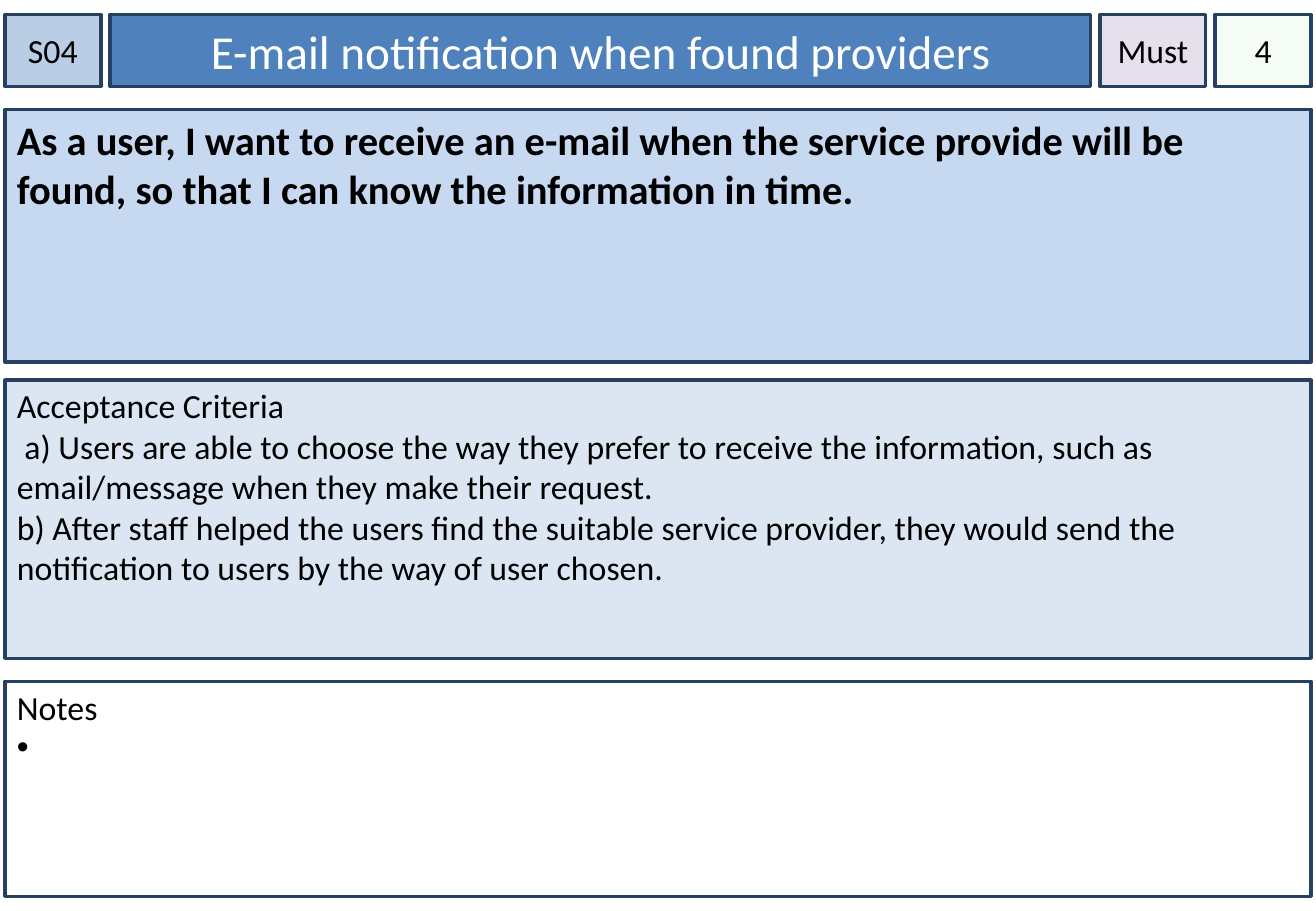
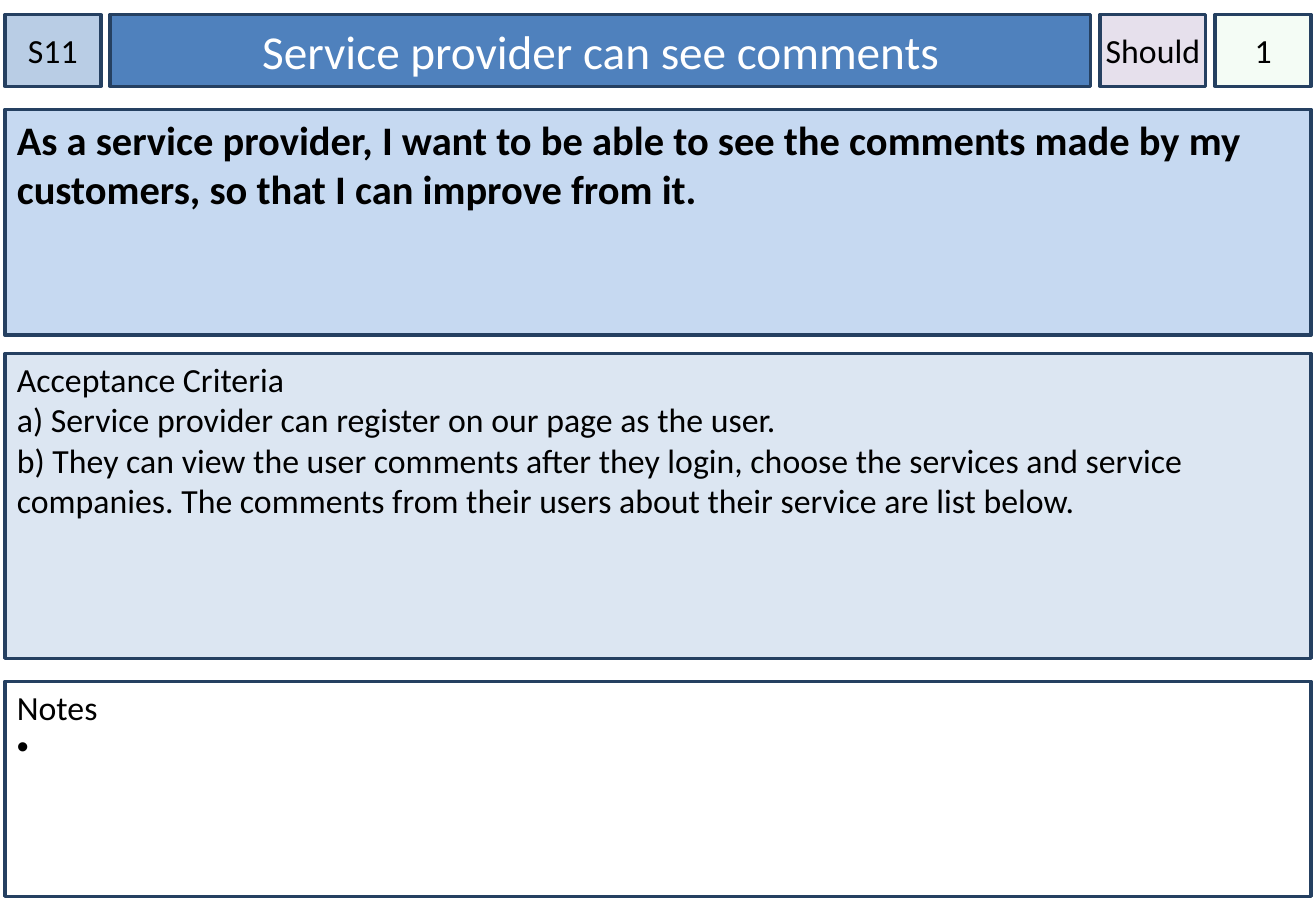
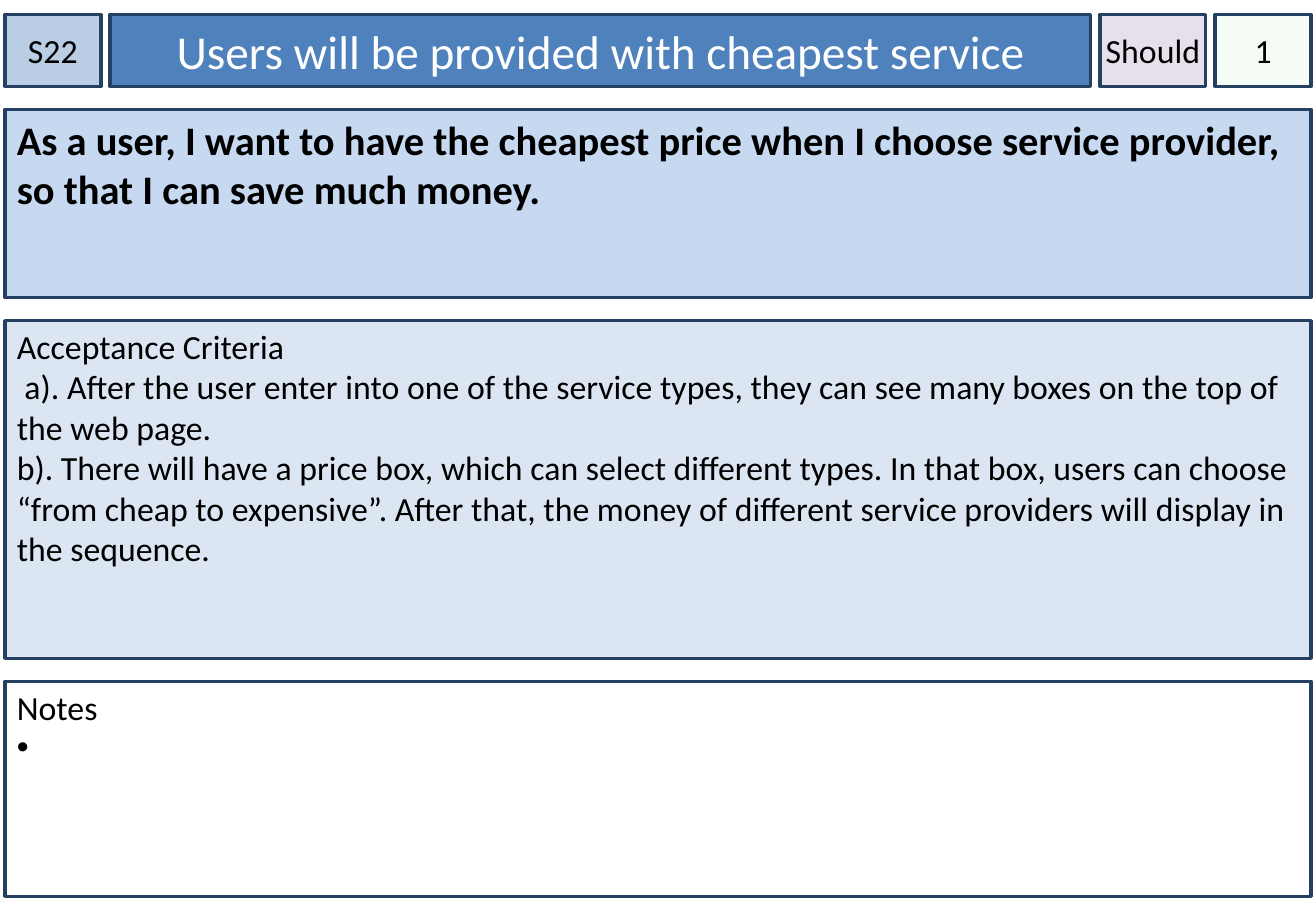
"""Build three user story cards, each with a header row and three stacked panels."""
from dataclasses import dataclass

from lxml.etree import SubElement as Sub
from pptx import Presentation
from pptx.dml.color import RGBColor as RGB
from pptx.enum.shapes import MSO_SHAPE as Kind
from pptx.enum.text import MSO_ANCHOR as Anchor, PP_ALIGN as Align
from pptx.oxml.ns import qn
from pptx.util import Inches, Pt

CARDS = [
    dict(
        code="S04", title="E-mail notification when found providers",
        rank="Must", points="4", tall=2.08, gap=0.15,
        story="As a user, I want to receive an e-mail when the service provide will be "
              "found, so that I can know the information in time.",
        tests=[
            " a) Users are able to choose the way they prefer to receive the information, "
            "such as email/message when they make their request.",
            "b) After staff helped the users find the suitable service provider, they would "
            "send the notification to users by the way of user chosen.",
        ]),
    dict(
        code="S11", title="Service provider can see comments",
        rank="Should", points="1", tall=1.86, gap=0.15,
        story="As a service provider, I want to be able to see the comments made by my "
              "customers, so that I can improve from it.",
        tests=[
            "a) Service provider can register on our page as the user.",
            "b) They can view the user comments after they login, choose the services and "
            "service companies. The comments from their users about their service are list "
            "below.",
        ]),
    dict(
        code="S22", title="Users will be provided with cheapest service",
        rank="Should", points="1", tall=1.55, gap=0.19,
        story="As a user, I want to have the cheapest price when I choose service provider, "
              "so that I can save much money.",
        tests=[
            " a). After the user enter into one of the service types, they can see many "
            "boxes on the top of the web page.",
            "b). There will have a price box, which can select different types. In that box, "
            "users can choose “from cheap to expensive”. After that, the money of different "
            "service providers will display in the sequence.",
        ]),
]


@dataclass(frozen=True)
class Theme:
    font: str = "Calibri"
    ink: str = "000000"
    pale: str = "FFFFFF"
    edge: str = "254061"
    code: str = "B9CDE5"
    title: str = "4F81BD"
    rank: str = "E6E0EC"
    points: str = "CCF0CD"
    story: str = "C6D9F1"
    tests: str = "DCE6F2"
    body: int = 20
    lead: int = 24
    head: int = 28
    line: int = 2


T = Theme()
WIDE, HIGH = 10.83, 7.5
LEFT, SPAN = 0.04, 10.75
TOP, ROW = 0.12, 0.59
COLS = dict(code=0.79, title=8.07, rank=0.87, points=0.79)
GAP = (SPAN - sum(COLS.values())) / (len(COLS) - 1)
STORY, NOTES, FOOT, SPACE = 0.9, 5.61, 7.38, 0.19
TAG = dict(mid=True, pad=(0, 0.05, 0, 0.05))
HEADS = dict(
    code=TAG,
    title=dict(mid=True, size=T.head, color=T.pale),
    rank=dict(TAG, wrap=False),
    points=dict(TAG, alpha=20),
)
PANEL = dict(pad=(0.1, 0.04, 0.1, 0.05))


def write(shape, lines, size=T.body, color=T.ink, bold=False, mid=False,
          pad=(0.1, 0.05, 0.1, 0.05), wrap=True, dots=()):
    frame = shape.text_frame
    frame.word_wrap = wrap
    frame.vertical_anchor = Anchor.MIDDLE if mid else Anchor.TOP
    for side, inset in zip(("left", "top", "right", "bottom"), pad):
        setattr(frame, f"margin_{side}", Inches(inset))
    for n, line in enumerate(lines):
        para = frame.add_paragraph() if n else frame.paragraphs[0]
        para.alignment = Align.CENTER if mid else Align.LEFT
        run = para.add_run()
        run.text = line
        font = run.font
        font.name, font.size, font.bold = T.font, Pt(size), bold
        font.color.rgb = RGB.from_string(color)
        if n in dots:
            props = para._p.get_or_add_pPr()
            props.set("marL", str(Inches(0.2)))
            props.set("indent", str(Inches(-0.2)))
            Sub(props, qn("a:buFont")).set("typeface", "Arial")
            Sub(props, qn("a:buChar")).set("char", "•")


def box(slide, x, y, w, h, fill, lines, alpha=100, **form):
    shape = slide.shapes.add_shape(Kind.RECTANGLE, *map(Inches, (x, y, w, h)))
    shape.shadow.inherit = False
    shape.fill.solid()
    shape.fill.fore_color.rgb = RGB.from_string(fill)
    if alpha < 100:
        tint = shape.fill._xPr.find(f".//{qn('a:srgbClr')}")
        Sub(tint, qn("a:alpha")).set("val", str(alpha * 1000))
    shape.line.color.rgb = RGB.from_string(T.edge)
    shape.line.width = Pt(T.line)
    write(shape, lines, **form)


def draw(slide, card):
    x = LEFT
    for name, w in COLS.items():
        box(slide, x, TOP, w, ROW, getattr(T, name), [card[name]], **HEADS[name])
        x += w + GAP
    tests = STORY + card["tall"] + card["gap"]
    box(slide, LEFT, STORY, SPAN, card["tall"], T.story, [card["story"]],
        size=T.lead, bold=True)
    box(slide, LEFT, tests, SPAN, NOTES - SPACE - tests, T.tests,
        ["Acceptance Criteria", *card["tests"]], **PANEL)
    box(slide, LEFT, NOTES, SPAN, FOOT - NOTES, T.pale, ["Notes", " "],
        dots=(1,), **PANEL)


def main():
    deck = Presentation()
    deck.slide_width, deck.slide_height = Inches(WIDE), Inches(HIGH)
    for card in CARDS:
        draw(deck.slides.add_slide(deck.slide_layouts[6]), card)
    deck.save("out.pptx")


if __name__ == "__main__":
    main()
